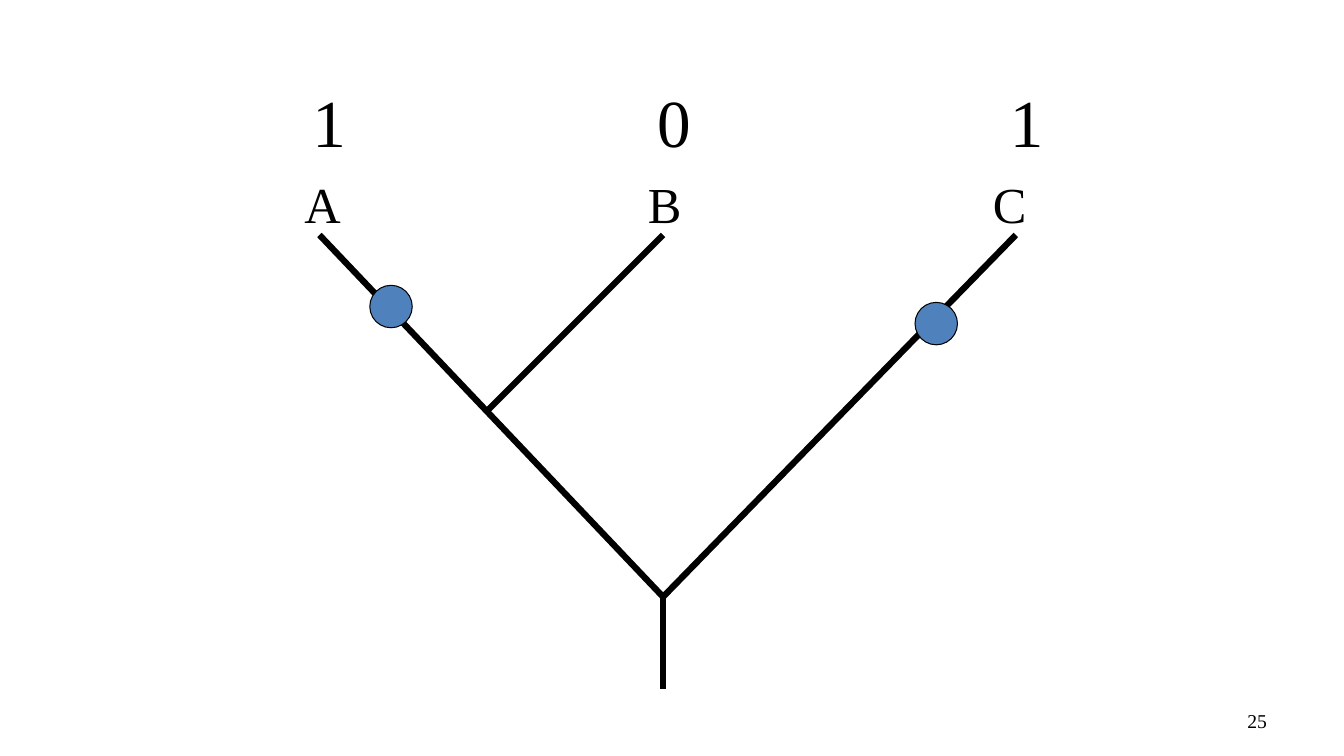
from lxml.etree import SubElement
from pptx import Presentation
from pptx.dml.color import RGBColor
from pptx.enum.shapes import MSO_CONNECTOR, MSO_SHAPE
from pptx.enum.text import MSO_ANCHOR, PP_ALIGN
from pptx.oxml.ns import qn
from pptx.util import Cm, Pt

BLACK = RGBColor(0, 0, 0)
BLUE = RGBColor(0x4F, 0x81, 0xBD)
FONT = "Times New Roman"

LEAF_TOP = 5.92
LEAF_A, LEAF_B, LEAF_C = (8.05, LEAF_TOP), (16.71, LEAF_TOP), (25.6, LEAF_TOP)
FORK = (12.27, 10.36)
ROOT = (16.71, 15.04)
STEM = (16.71, 17.37)
BRANCHES = [(LEAF_A, ROOT), (FORK, LEAF_B), (ROOT, LEAF_C), (ROOT, STEM)]

TAXA = [("A", 7.42), ("B", 16.08), ("C", 24.77)]
STATES = [("1", 7.62), ("0", 16.31), ("1", 25.2)]
ROWS = [(TAXA, 4.24, 1.8, 36), (STATES, 1.9, 2.31, 48)]
LABEL_WIDTH = 1.4

CHANGES = [(9.32, 7.19), (23.06, 7.62)]
DOT_SIZE = 1.07
PAGE_NUMBER = "25"


def add_text(page, text, left, top, width, height, size):
    box = page.shapes.add_textbox(Cm(left), Cm(top), Cm(width), Cm(height))
    box.text_frame.text = text
    box.text_frame.word_wrap = False
    font = box.text_frame.paragraphs[0].runs[0].font
    font.name, font.size = FONT, Pt(size)
    font.color.rgb = BLACK
    return box


def add_branch(page, start, end):
    branch = page.shapes.add_connector(
        MSO_CONNECTOR.STRAIGHT, *(Cm(value) for value in start + end))
    branch.line.color.rgb = BLACK
    branch.line.width = Pt(4.5)
    SubElement(branch._element.spPr, qn("a:effectLst"))


def add_dot(page, left, top):
    dot = page.shapes.add_shape(
        MSO_SHAPE.OVAL, Cm(left), Cm(top), Cm(DOT_SIZE), Cm(DOT_SIZE))
    dot.shadow.inherit = False
    dot.fill.solid()
    dot.fill.fore_color.rgb = BLUE
    dot.line.color.rgb = BLACK
    dot.line.width = Pt(0.75)


def main():
    deck = Presentation()
    deck.slide_width, deck.slide_height = Cm(33.87), Cm(19.05)
    page = deck.slides.add_slide(deck.slide_layouts[6])

    number = add_text(page, PAGE_NUMBER, 24.28, 17.65, 7.9, 1.02, 14)
    number.text_frame.word_wrap = True
    number.text_frame.vertical_anchor = MSO_ANCHOR.MIDDLE
    number.text_frame.paragraphs[0].alignment = PP_ALIGN.RIGHT

    for start, end in BRANCHES:
        add_branch(page, start, end)
    for labels, top, height, size in ROWS:
        for text, left in labels:
            add_text(page, text, left, top, LABEL_WIDTH, height, size)
    for left, top in CHANGES:
        add_dot(page, left, top)

    deck.save("out.pptx")


if __name__ == "__main__":
    main()
